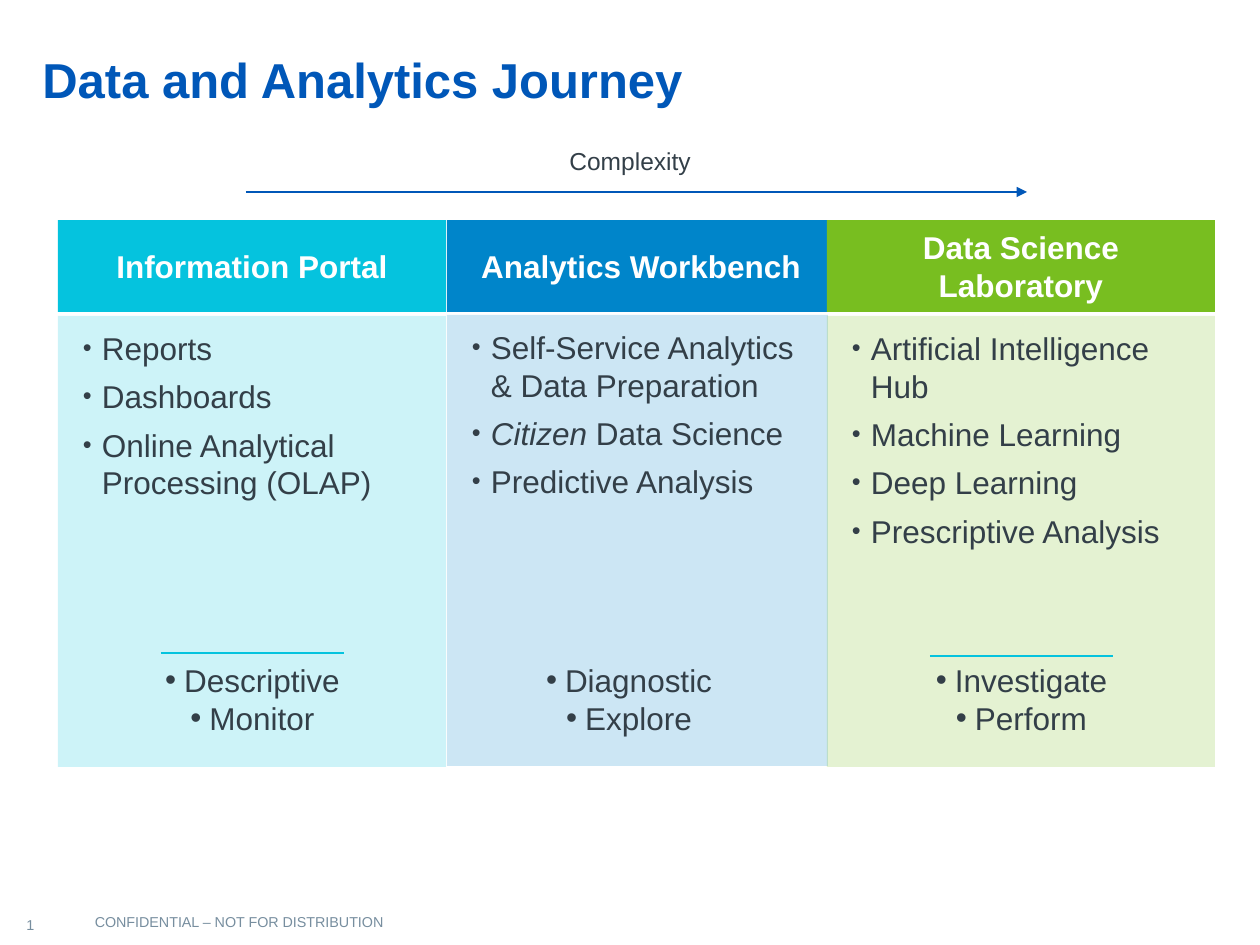
from pptx import Presentation
from pptx.dml.color import RGBColor
from pptx.enum.shapes import MSO_CONNECTOR, MSO_SHAPE
from pptx.enum.text import MSO_ANCHOR, PP_ALIGN
from pptx.oxml.ns import qn
from pptx.util import Emu, Pt
from lxml import etree

RECT = MSO_SHAPE.RECTANGLE
STRAIGHT = MSO_CONNECTOR.STRAIGHT
TOP, MIDDLE = MSO_ANCHOR.TOP, MSO_ANCHOR.MIDDLE
LEFT, CENTER, RIGHT = PP_ALIGN.LEFT, PP_ALIGN.CENTER, PP_ALIGN.RIGHT

COLORS = {
    "title": "0057B8",
    "cyan": "05C3DE",
    "blue": "0085CA",
    "green": "78BE20",
    "text": "333F48",
    "muted": "778E9F",
    "white": "FFFFFF",
}


def px(n):
    return Emu(round(n * 914400 / 126))


def rgb(name):
    return RGBColor.from_string(COLORS[name])


def node(parent, tag, **attrs):
    return etree.SubElement(parent, qn(tag), attrs)


class Deck:
    font = "Arial"
    indent = 19

    def __init__(self, width, height):
        self.prs = Presentation()
        self.prs.slide_width, self.prs.slide_height = px(width), px(height)
        self.slide = self.prs.slides.add_slide(self.prs.slide_layouts[6])

    def put(self, shape, lines, size, color="text", bold=False, align=LEFT,
            anchor=TOP, wrap=True, before=0, after=0):
        """Fill a shape with lines; an (italic, plain) pair makes a mixed line."""
        frame = shape.text_frame
        frame.word_wrap, frame.vertical_anchor = wrap, anchor
        for i, line in enumerate(lines):
            para = frame.paragraphs[0] if i == 0 else frame.add_paragraph()
            para.alignment = align
            para.space_before, para.space_after = Pt(before), Pt(after)
            mixed = isinstance(line, tuple)
            for part in line if mixed else (line,):
                para.add_run().text = part
            for run in para.runs:
                font = run.font
                font.name, font.size, font.bold = self.font, Pt(size), bold
                font.color.rgb = rgb(color)
            if mixed:
                para.runs[0].font.italic = True
        return frame

    def bullets(self, frame, scale=100):
        for para in frame.paragraphs:
            props = para._p.get_or_add_pPr()
            props.set("marL", str(px(self.indent)))
            props.set("indent", str(-px(self.indent)))
            node(node(props, "a:buClr"), "a:srgbClr", val=COLORS["text"])
            node(props, "a:buSzPct", val=str(scale * 1000))
            node(props, "a:buFont", typeface=self.font)
            node(props, "a:buChar", char="•")

    def label(self, x, y, w, h, lines, size, **style):
        box = self.slide.shapes.add_textbox(px(x), px(y), px(w), px(h))
        return self.put(box, lines, size, **style)

    def block(self, x, y, w, h, color, alpha=100):
        shape = self.slide.shapes.add_shape(RECT, px(x), px(y), px(w), px(h))
        shape.shadow.inherit = False
        shape.fill.solid()
        shape.fill.fore_color.rgb = rgb(color)
        shape.line.fill.background()
        if alpha < 100:
            fill = shape._element.spPr.find(qn("a:solidFill"))
            node(fill[0], "a:alpha", val=str(alpha * 1000))
        return shape

    def head(self, x, y, w, h, text, color):
        self.put(self.block(x, y, w, h, color), [text], 18, color="white",
                 bold=True, align=CENTER, anchor=MIDDLE, before=7.5)

    def panel(self, x, y, w, h, lines, color):
        frame = self.put(self.block(x, y, w, h, color, 20), lines, 18, after=6)
        frame.margin_left, frame.margin_top = px(25), px(13)
        frame.margin_right, frame.margin_bottom = px(13), px(6)
        self.bullets(frame, 80)

    def rule(self, x, y, w, color, weight, arrow=False):
        line = self.slide.shapes.add_connector(
            STRAIGHT, px(x), px(y), px(x + w), px(y))
        line.line.color.rgb = rgb(color)
        line.line.width = Pt(weight)
        props = line._element.spPr
        if arrow:
            node(props.find(qn("a:ln")), "a:tailEnd", type="triangle")
        node(props, "a:effectLst")


def main():
    deck = Deck(1260, 945)

    # Title and footer
    deck.label(30, 43, 1202, 156, ["Data and Analytics Journey"], 28,
               color="title", bold=True)
    deck.label(76, 907, 320, 30, ["CONFIDENTIAL – NOT FOR DISTRIBUTION"], 8.2,
               color="muted", align=RIGHT, wrap=False)
    deck.label(14, 905, 66, 39, ["1"], 8.2, color="muted", anchor=MIDDLE)

    # Complexity arrow
    deck.label(557, 140, 147, 43, ["Complexity"], 14, wrap=False)
    deck.rule(246, 192, 781, "title", 1.5, arrow=True)

    # Columns: x, panel top, panel width, colour, heading, topics, aims, aims x and width
    stages = [
        (58, 316, 388, "cyan", "Information Portal",
         ["Reports", "Dashboards", "Online Analytical Processing (OLAP)"],
         ["Descriptive", "Monitor"], 122, 261),
        (447, 315, 381, "blue", "Analytics Workbench",
         ["Self-Service Analytics & Data Preparation",
          ("Citizen", " Data Science"), "Predictive Analysis"],
         ["Diagnostic", "Explore"], 495, 268),
        (827, 316, 388, "green", "Data Science Laboratory",
         ["Artificial Intelligence Hub", "Machine Learning", "Deep Learning",
          "Prescriptive Analysis"],
         ["Investigate", "Perform"], 885, 273),
    ]
    for x, top, width, color, title, topics, aims, left, span in stages:
        deck.head(x, 220, 388, 92, title, color)
        deck.panel(x, top, width, 451, topics, color)
        deck.bullets(deck.label(left, 655, span, 90, aims, 18, align=CENTER))

    # Rules above the outer aims
    for x, y in ((161, 653), (930, 656)):
        deck.rule(x, y, 183, "cyan", 1)

    deck.prs.save("out.pptx")


if __name__ == "__main__":
    main()
